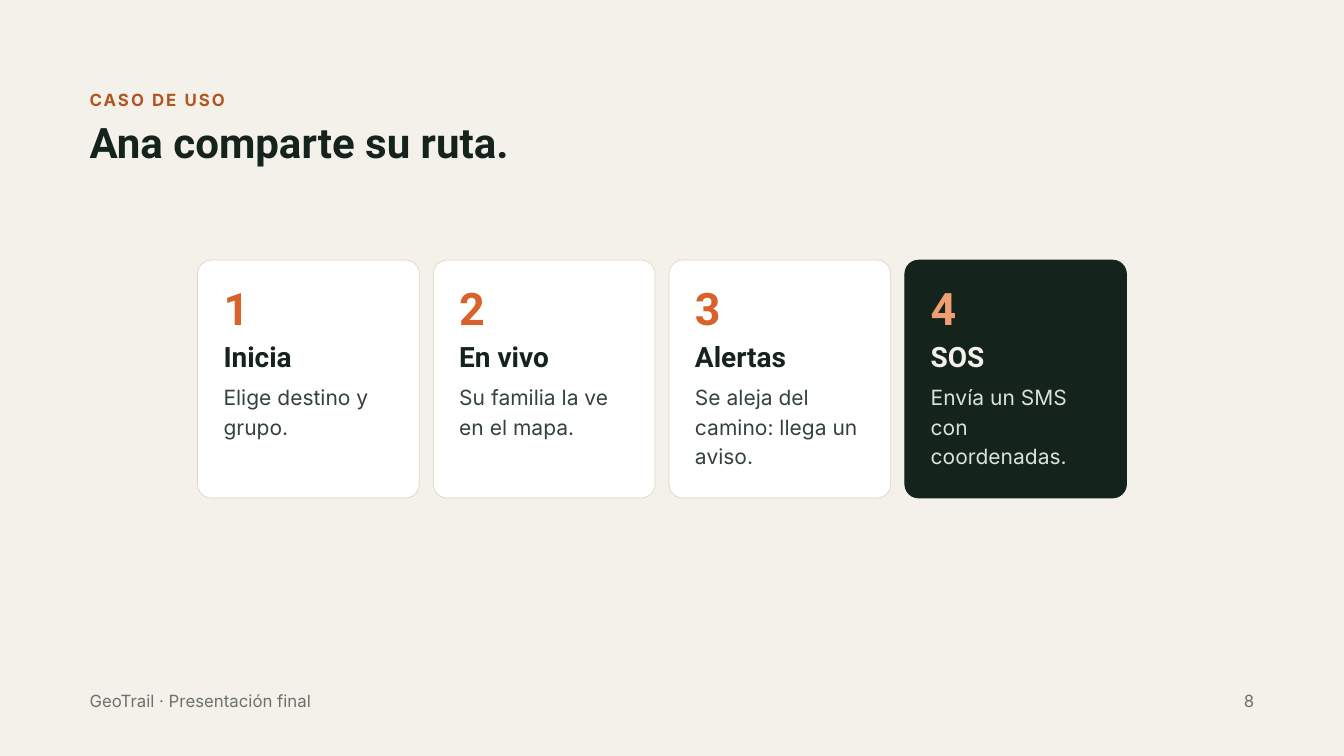
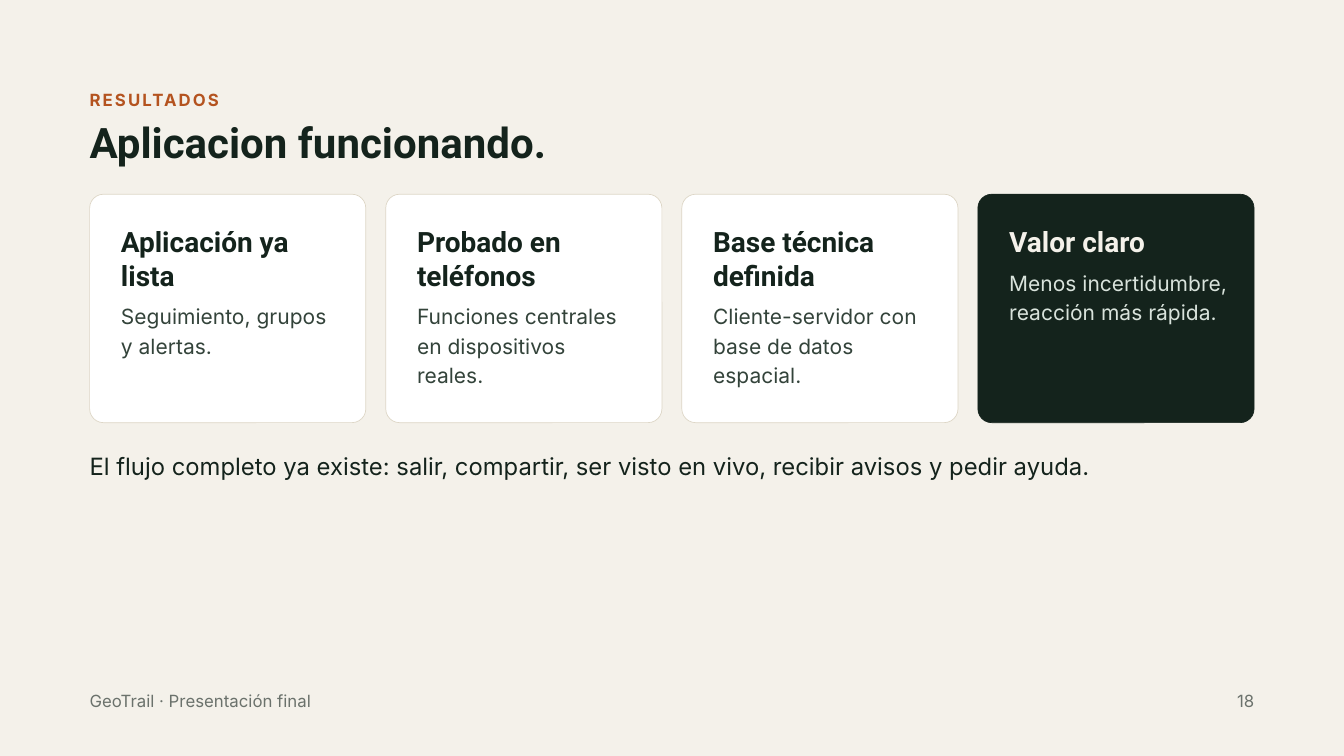
from collections import namedtuple

from pptx import Presentation
from pptx import util as u
from pptx.dml.color import RGBColor
from pptx.enum import shapes, text

WIDTH, HEIGHT = u.Inches(20), u.Inches(11.25)
MARGIN = 6.67
TEXT_WIDTH = 89.25
CARD_RADIUS = 1.03
TEXT_SLACK = 0.46
NUMBER_GAP, HEADING_GAP = 0.62, 1.07

COLORS = {
    "paper": "F4F1EA", "ink": "14231C", "rust": "B4531F", "orange": "D9622A",
    "peach": "F0A070", "body": "33433A", "mint": "D9E3DC", "border": "DDD6C6",
    "white": "FFFFFF", "gray": "6B726C",
}

STYLES = {
    "eyebrow": dict(size=18, line=21.6, color="rust", bold=True, tracking=2.2),
    "title": dict(size=45, line=51.7, font="Roboto", bold=True),
    "number": dict(size=48, line=55.2, font="Roboto", bold=True),
    "heading": dict(size=30, line=36, font="Roboto", bold=True),
    "body": dict(size=22.5, line=31.5),
    "remark": dict(size=25.5, line=35.7),
    "footer": dict(size=18, line=21.6, color="gray"),
}

LIGHT = dict(fill="white", border="border", number="orange", heading="ink", body="body")
DARK = dict(fill="ink", border="ink", number="peach", heading="paper", body="mint")

Card = namedtuple("Card", "heading body heading_lines body_lines")
Row = namedtuple("Row", "left top width height gap inset_x inset_y numbered")


def across(percent):
    return int(WIDTH * percent / 100)


def down(percent):
    return int(HEIGHT * percent / 100)


def line_share(style, lines=1):
    return lines * u.Pt(STYLES[style]["line"]) / HEIGHT * 100


def color(name):
    return RGBColor.from_string(COLORS[name])


def place(shape, left, top, width, height):
    shape.left, shape.top = across(left), down(top)
    shape.width, shape.height = across(width), down(height)


def write(shape, words, size, line, color_name="ink", font="Inter", bold=False,
          tracking=0, align=text.PP_ALIGN.LEFT):
    frame = shape.text_frame
    frame.word_wrap = True
    frame.auto_size = text.MSO_AUTO_SIZE.NONE
    frame.vertical_anchor = text.MSO_ANCHOR.TOP
    frame.margin_left = frame.margin_right = frame.margin_top = frame.margin_bottom = 0
    paragraph = frame.paragraphs[0]
    paragraph.alignment = align
    paragraph.line_spacing = u.Pt(line)
    run = paragraph.add_run()
    run.text = words
    run.font.name, run.font.size, run.font.bold = font, u.Pt(size), bold
    run.font.color.rgb = color(color_name)
    if tracking:
        run._r.get_or_add_rPr().set("spc", str(round(tracking * 100)))


def write_styled(shape, words, style, **changes):
    settings = {**STYLES[style], **changes}
    write(shape, words, color_name=settings.pop("color", "ink"), **settings)


def add_text(container, words, style, left, top, width, lines=1, **changes):
    box = container.add_textbox(0, 0, 0, 0)
    place(box, left, top, width, line_share(style, lines))
    write_styled(box, words, style, **changes)


def add_panel(container, left, row, theme):
    panel = container.add_shape(shapes.MSO_SHAPE.ROUNDED_RECTANGLE, 0, 0, 0, 0)
    place(panel, left, row.top, row.width, row.height)
    panel.adjustments[0] = across(CARD_RADIUS) / min(panel.width, panel.height)
    panel.shadow.inherit = False
    panel.fill.solid()
    panel.fill.fore_color.rgb = color(theme["fill"])
    panel.line.color.rgb = color(theme["border"])
    panel.line.width = u.Pt(0.75)


def add_card(slide, card, index, row, theme):
    container = slide.shapes.add_group_shape().shapes
    left = row.left + index * (row.width + row.gap)
    add_panel(container, left, row, theme)
    text_left, top = left + row.inset_x, row.top + row.inset_y
    width = row.width - 2 * row.inset_x + TEXT_SLACK
    if row.numbered:
        add_text(container, str(index + 1), "number", text_left, top, width,
                 color=theme["number"])
        top += line_share("number") + NUMBER_GAP
    add_text(container, card.heading, "heading", text_left, top, width,
             card.heading_lines, color=theme["heading"])
    top += line_share("heading", card.heading_lines) + HEADING_GAP
    add_text(container, card.body, "body", text_left, top, width,
             card.body_lines, color=theme["body"])


def add_cards(slide, cards, row):
    for index, card in enumerate(cards):
        add_card(slide, card, index, row, DARK if index == len(cards) - 1 else LIGHT)


def add_page(presentation, eyebrow, title, number):
    slide = presentation.slides.add_slide(presentation.slide_layouts[5])
    add_text(slide.shapes, eyebrow, "eyebrow", MARGIN, 11.82, TEXT_WIDTH)
    place(slide.shapes.title, MARGIN, 15.64, TEXT_WIDTH, 6.76)
    write_styled(slide.shapes.title, title, "title")
    add_text(slide.shapes, "GeoTrail · Presentación final", "footer", MARGIN, 91.38, 75)
    add_text(slide.shapes, str(number), "footer", 100 - MARGIN - 3, 91.38, 3,
             align=text.PP_ALIGN.RIGHT)
    return slide


def add_use_case(presentation):
    slide = add_page(presentation, "CASO DE USO", "Ana comparte su ruta.", 8)
    add_cards(slide, [
        Card("Inicia", "Elige destino y grupo.", 1, 2),
        Card("En vivo", "Su familia la ve en el mapa.", 1, 2),
        Card("Alertas", "Se aleja del camino: llega un aviso.", 1, 3),
        Card("SOS", "Envía un SMS con coordenadas.", 1, 3),
    ], Row(left=14.7, top=34.4, width=16.5, height=31.47, gap=1.04,
           inset_x=1.93, inset_y=3.02, numbered=True))


def add_results(presentation):
    slide = add_page(presentation, "RESULTADOS", "Aplicacion funcionando.", 18)
    add_cards(slide, [
        Card("Aplicación ya lista", "Seguimiento, grupos y alertas.", 2, 2),
        Card("Probado en teléfonos", "Funciones centrales en dispositivos reales.", 2, 3),
        Card("Base técnica definida", "Cliente-servidor con base de datos espacial.", 2, 3),
        Card("Valor claro", "Menos incertidumbre, reacción más rápida.", 1, 2),
    ], Row(left=MARGIN, top=25.69, width=20.55, height=30.22, gap=1.48,
           inset_x=2.33, inset_y=4, numbered=False))
    add_text(slide.shapes,
             "El flujo completo ya existe: salir, compartir, ser visto en vivo, "
             "recibir avisos y pedir ayuda.",
             "remark", MARGIN, 59.11, TEXT_WIDTH)


def main():
    presentation = Presentation()
    presentation.slide_width, presentation.slide_height = WIDTH, HEIGHT
    background = presentation.slide_master.background.fill
    background.solid()
    background.fore_color.rgb = color("paper")
    add_use_case(presentation)
    add_results(presentation)
    presentation.save("out.pptx")


if __name__ == "__main__":
    main()
